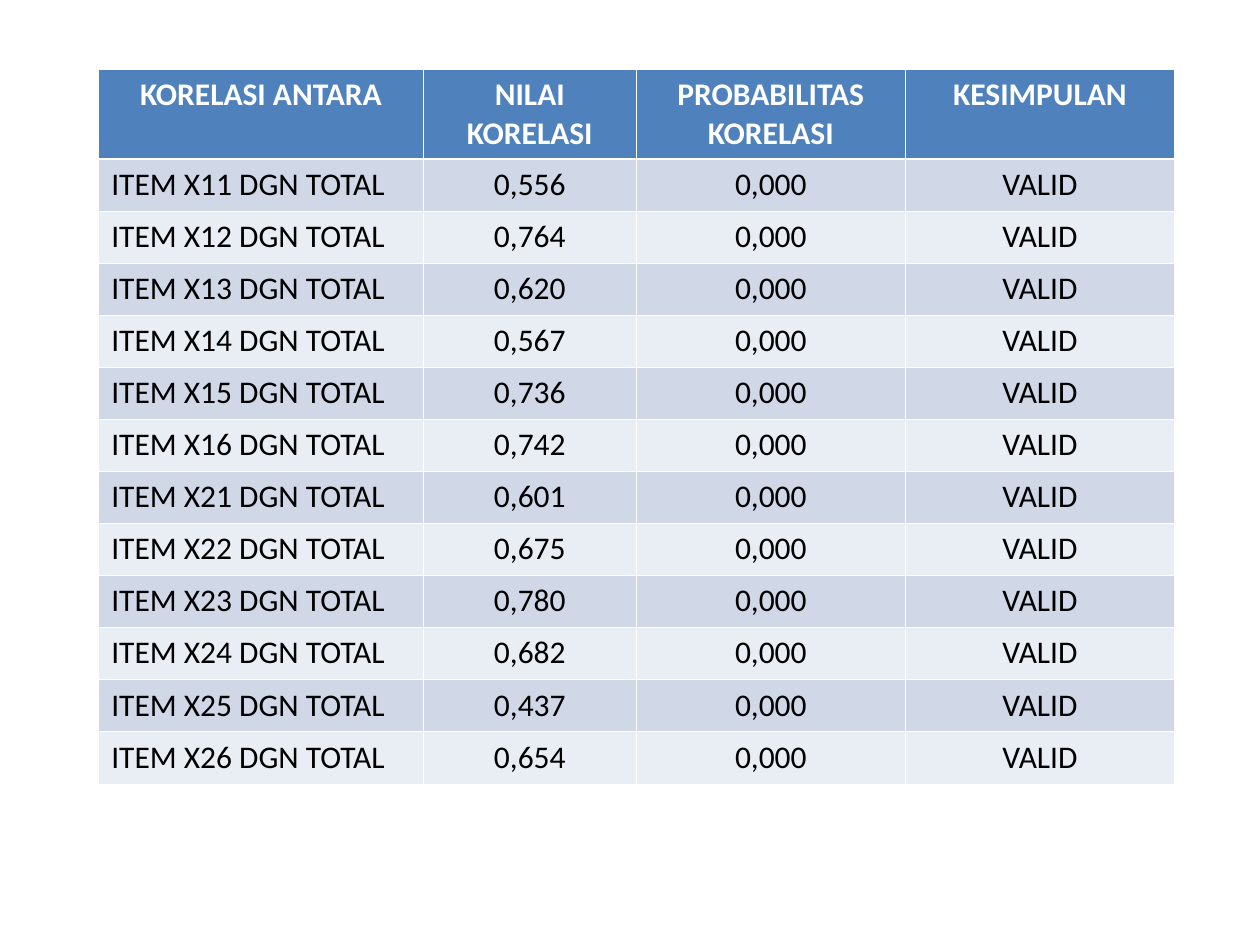
"""Build a slide with a table of item-total correlations and their validity."""
import pptx
import pptx.dml.color
import pptx.enum.text
import pptx.oxml.ns
import pptx.util
from lxml import etree

WHITE = pptx.dml.color.RGBColor(0xFF, 0xFF, 0xFF)
BLACK = pptx.dml.color.RGBColor(0x00, 0x00, 0x00)
HEADER_BLUE = pptx.dml.color.RGBColor(0x4F, 0x81, 0xBD)
BAND_DARK = pptx.dml.color.RGBColor(0xD0, 0xD8, 0xE8)
BAND_LIGHT = pptx.dml.color.RGBColor(0xE9, 0xED, 0xF4)

HEADERS = ["KORELASI ANTARA", "NILAI KORELASI", "PROBABILITAS KORELASI", "KESIMPULAN"]
CORRELATIONS = {
    "X11": "0,556", "X12": "0,764", "X13": "0,620",
    "X14": "0,567", "X15": "0,736", "X16": "0,742",
    "X21": "0,601", "X22": "0,675", "X23": "0,780",
    "X24": "0,682", "X25": "0,437", "X26": "0,654",
}
COLUMN_WIDTHS = [185.5, 121.7, 153.8, 153.8]
HEADER_HEIGHT = 50.3
ROW_HEIGHT = 29.78


class SlideBuilder:
    font_name = "Calibri"
    font_size = 18
    thin_line = 0.45
    thick_line = 1.47

    def __init__(self, slide):
        self.slide = slide

    def add_table(self, left, top, widths, heights, rows):
        frame = self.slide.shapes.add_table(
            len(rows), len(widths),
            *(pptx.util.Pt(length) for length in (left, top, sum(widths), sum(heights))))
        table = frame.table
        table.horz_banding = False
        for column, width in zip(table.columns, widths):
            column.width = pptx.util.Pt(width)
        for row, height in zip(table.rows, heights):
            row.height = pptx.util.Pt(height)
        for row_index, row in enumerate(rows):
            for column_index, text in enumerate(row):
                self.format_cell(table.cell(row_index, column_index), text,
                                 row_index, column_index)

    def format_cell(self, cell, text, row_index, column_index):
        is_header = row_index == 0
        self.add_borders(cell, row_index)
        cell.fill.solid()
        if is_header:
            cell.fill.fore_color.rgb = HEADER_BLUE
        else:
            cell.fill.fore_color.rgb = BAND_DARK if row_index % 2 else BAND_LIGHT
        cell.text = text
        paragraph = cell.text_frame.paragraphs[0]
        is_label = column_index == 0 and not is_header
        alignments = pptx.enum.text.PP_ALIGN
        paragraph.alignment = alignments.LEFT if is_label else alignments.CENTER
        paragraph.font.name = self.font_name
        paragraph.font.size = pptx.util.Pt(self.font_size)
        paragraph.font.bold = is_header
        paragraph.font.color.rgb = WHITE if is_header else BLACK

    def add_borders(self, cell, row_index):
        properties = cell._tc.get_or_add_tcPr()
        qualify = pptx.oxml.ns.qn
        for side in ("L", "R", "T", "B"):
            is_thick = (row_index, side) in ((0, "B"), (1, "T"))
            width = pptx.util.Pt(self.thick_line if is_thick else self.thin_line)
            line = etree.SubElement(properties, qualify(f"a:ln{side}"), w=str(width))
            fill = etree.SubElement(line, qualify("a:solidFill"))
            etree.SubElement(fill, qualify("a:srgbClr"), val=str(WHITE))


def main():
    presentation = pptx.Presentation()
    presentation.slide_width = pptx.util.Pt(720)
    presentation.slide_height = pptx.util.Pt(540)
    slide = presentation.slides.add_slide(presentation.slide_layouts[6])
    rows = [HEADERS] + [
        [f"ITEM {item} DGN TOTAL", correlation, "0,000", "VALID"]
        for item, correlation in CORRELATIONS.items()
    ]
    heights = [HEADER_HEIGHT] + [ROW_HEIGHT] * len(CORRELATIONS)
    SlideBuilder(slide).add_table(56.4, 39.6, COLUMN_WIDTHS, heights, rows)
    presentation.save("out.pptx")


if __name__ == "__main__":
    main()
